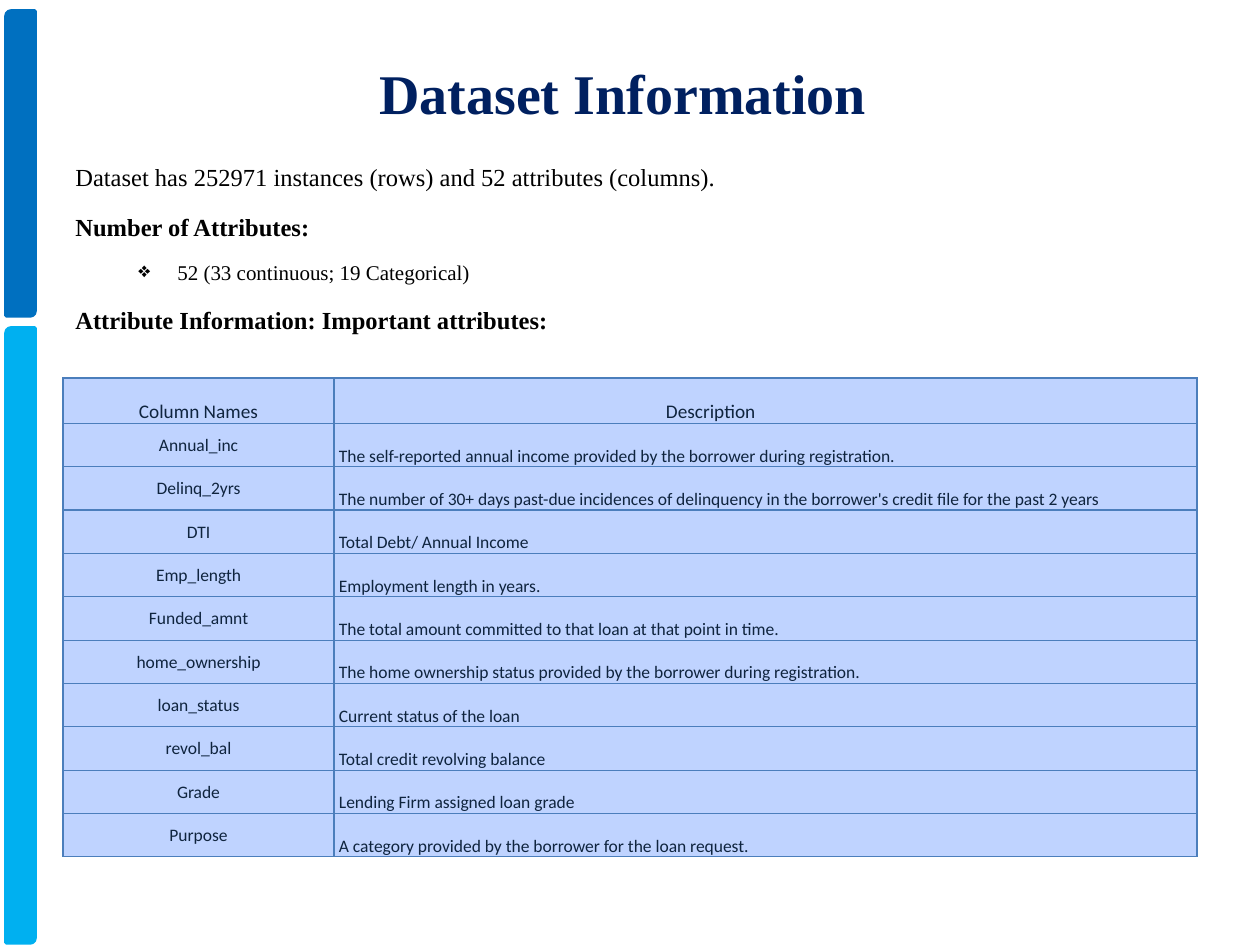
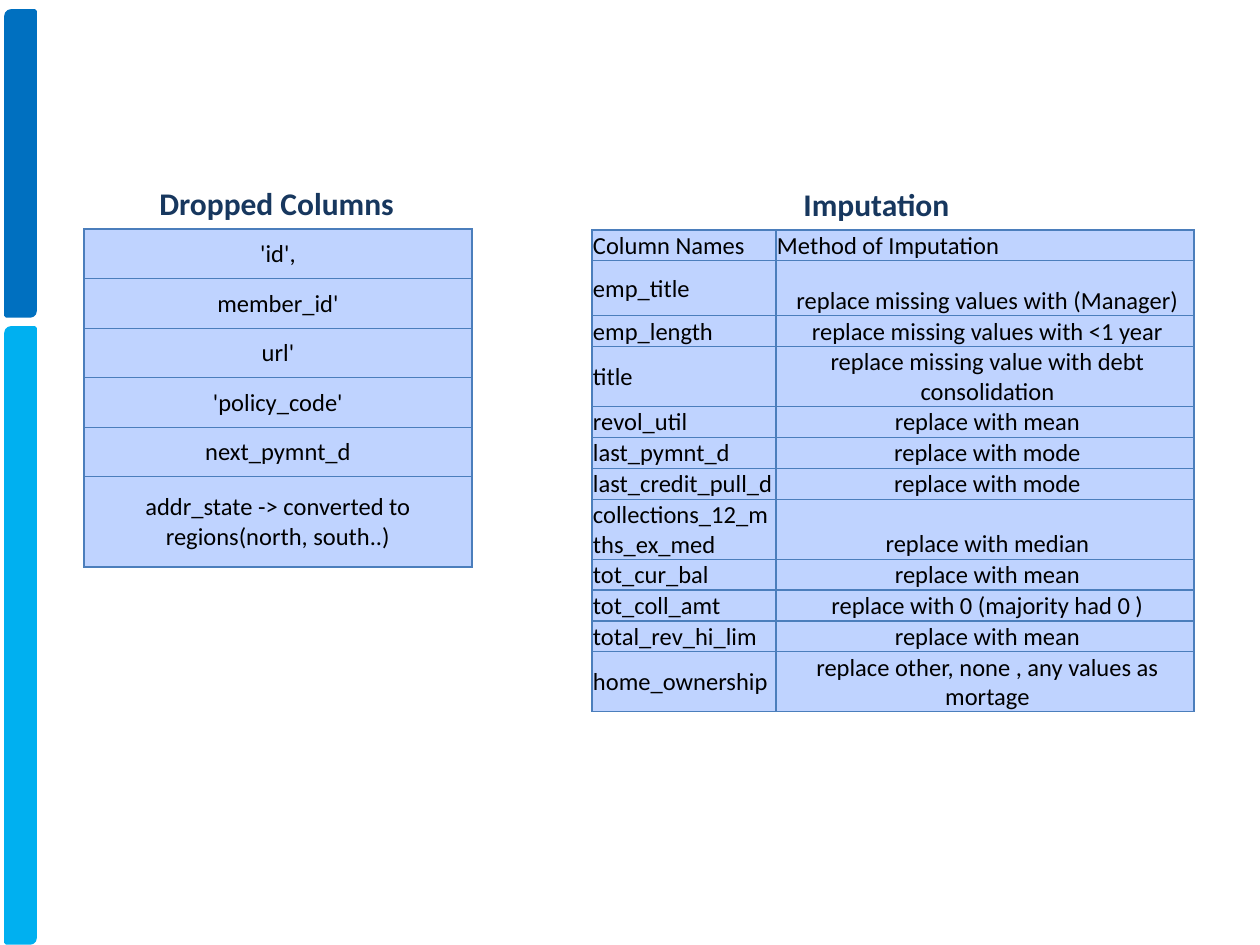
"""Builds two slides on a loan dataset: its attributes and its data cleaning."""
from dataclasses import dataclass
from typing import Any

from lxml import etree
from pptx import Presentation
from pptx.dml.color import RGBColor
from pptx.enum.shapes import MSO_SHAPE
from pptx.enum.text import MSO_ANCHOR, PP_ALIGN
from pptx.oxml.ns import qn
from pptx.slide import Slide
from pptx.util import Emu, Pt

BAR_SHAPE = MSO_SHAPE.ROUND_2_DIAG_RECTANGLE
LEFT, CENTER = PP_ALIGN.LEFT, PP_ALIGN.CENTER
TOP, MIDDLE, BOTTOM = MSO_ANCHOR.TOP, MSO_ANCHOR.MIDDLE, MSO_ANCHOR.BOTTOM

PX_PER_INCH = 126
BLANK_LAYOUT = 6
SERIF, SANS = "Times New Roman", "Calibri"
BLACK, NAVY, INK, HEADING = "000000", "002060", "0F243E", "17375E"
CELL_FILL, CELL_BORDER = "BFD3FF", "4B7EBC"
BORDER_POINTS = 0.75
BORDER_SIDES = ("a:lnL", "a:lnR", "a:lnT", "a:lnB")
BULLET_MARGIN, BULLET_INDENT = 102, -39


@dataclass(frozen=True)
class Box:
    left: int
    top: int
    width: int
    height: int


@dataclass(frozen=True)
class Bar:
    box: Box
    color: str


@dataclass(frozen=True)
class Style:
    font: str
    size: int
    color: str
    bold: bool = False


@dataclass(frozen=True)
class Line:
    text: str
    style: Style
    align: Any = LEFT
    spacing: float = 1.0
    before: float = 0
    bullet: str = ""


@dataclass(frozen=True)
class CellFormat:
    style: Style
    align: Any = LEFT
    anchor: Any = BOTTOM
    inset: int = 1


@dataclass(frozen=True)
class Grid:
    box: Box
    widths: tuple[int, ...]
    heights: tuple[int, ...]
    rows: tuple[tuple[str, ...], ...]
    body: tuple[CellFormat, ...]
    header: tuple[CellFormat, ...] = ()


BARS = (Bar(Box(6, 11, 29, 305), "0070C0"), Bar(Box(6, 328, 29, 615), "00B0F0"))

TITLE = Style(SERIF, 32, NAVY, True)
BODY = Style(SERIF, 14, BLACK)
BODY_BOLD = Style(SERIF, 14, BLACK, True)
BODY_SMALL = Style(SERIF, 12, BLACK)
TABLE_HEAD = Style(SANS, 11, INK)
TABLE_TEXT = Style(SANS, 10, INK)
LARGE_TEXT = Style(SANS, 14, BLACK)
TABLE_LABEL = Style(SANS, 18, HEADING, True)

SUMMARY = (
    Line("Dataset has 252971 instances (rows) and 52 attributes (columns).", BODY, spacing=1.5),
    Line("Number of Attributes:", BODY_BOLD, spacing=1.5, before=3.3),
    Line("52 (33 continuous; 19 Categorical)", BODY_SMALL, spacing=1.5, before=3.3, bullet="❖"),
    Line("Attribute Information: Important attributes:", BODY_BOLD, spacing=1.5, before=3.3),
)

ATTRIBUTES = Grid(
    Box(63, 378, 1134, 479),
    (271, 863),
    (45,) + (43,) * 10,
    (
        ("Column Names", "Description"),
        ("Annual_inc", "The self-reported annual income provided by the borrower during registration."),
        ("Delinq_2yrs", "The number of 30+ days past-due incidences of delinquency "
                        "in the borrower's credit file for the past 2 years"),
        ("DTI", "Total Debt/ Annual Income"),
        ("Emp_length", "Employment length in years."),
        ("Funded_amnt", "The total amount committed to that loan at that point in time."),
        ("home_ownership", "The home ownership status provided by the borrower during registration."),
        ("loan_status", "Current status of the loan"),
        ("revol_bal", "Total credit revolving balance"),
        ("Grade", "Lending Firm assigned loan grade"),
        ("Purpose", "A category provided by the borrower for the loan request."),
    ),
    (CellFormat(TABLE_TEXT, CENTER, MIDDLE), CellFormat(TABLE_TEXT, inset=5)),
    (CellFormat(TABLE_HEAD, CENTER), CellFormat(TABLE_HEAD, inset=332)),
)

DROPPED = Grid(
    Box(84, 229, 388, 338),
    (388,),
    (50,) * 5 + (91,),
    (
        ("'id',",),
        ("member_id'",),
        ("url'",),
        ("'policy_code'",),
        ("next_pymnt_d",),
        ("addr_state -> converted to regions(north, south..)",),
    ),
    (CellFormat(LARGE_TEXT, CENTER, MIDDLE),),
)

IMPUTATION = Grid(
    Box(592, 230, 602, 482),
    (184, 418),
    (31, 55, 31, 60, 31, 31, 31, 60, 31, 31, 31, 60),
    (
        ("Column Names", "Method of Imputation"),
        ("emp_title", "replace missing values with (Manager)"),
        ("emp_length", "replace missing values with <1 year"),
        ("title", "replace missing value with debt consolidation"),
        ("revol_util", "replace with mean"),
        ("last_pymnt_d", "replace with mode"),
        ("last_credit_pull_d", "replace with mode"),
        ("collections_12_mths_ex_med", "replace with median"),
        ("tot_cur_bal", "replace with mean"),
        ("tot_coll_amt", "replace with 0 (majority had 0 )"),
        ("total_rev_hi_lim", "replace with mean"),
        ("home_ownership", "replace other, none , any values as mortage"),
    ),
    (CellFormat(LARGE_TEXT, anchor=MIDDLE), CellFormat(LARGE_TEXT, CENTER, inset=6)),
    (CellFormat(LARGE_TEXT), CellFormat(LARGE_TEXT)),
)


def px(length: float) -> Emu:
    return Emu(round(length * 914400 / PX_PER_INCH))


def rgb(color: str) -> RGBColor:
    return RGBColor.from_string(color)


def place(box: Box) -> tuple[Emu, Emu, Emu, Emu]:
    return px(box.left), px(box.top), px(box.width), px(box.height)


def apply_format(target: Any, values: dict[str, Any]) -> None:
    for name, value in values.items():
        setattr(target, name, value)


def write_line(paragraph: Any, line: Line) -> None:
    if line.bullet:
        properties = paragraph._p.get_or_add_pPr()
        properties.set("marL", str(px(BULLET_MARGIN)))
        properties.set("indent", str(px(BULLET_INDENT)))
        etree.SubElement(properties, qn("a:buChar")).set("char", line.bullet)
    apply_format(paragraph, {
        "alignment": line.align,
        "line_spacing": line.spacing,
        "space_before": Pt(line.before),
    })
    run = paragraph.add_run()
    run.text = line.text
    style = line.style
    apply_format(run.font, {"name": style.font, "size": Pt(style.size), "bold": style.bold})
    run.font.color.rgb = rgb(style.color)


def add_text(slide: Slide, box: Box, lines: tuple[Line, ...], anchor: Any = TOP, wrap: bool = True) -> None:
    frame = slide.shapes.add_textbox(*place(box)).text_frame
    apply_format(frame, {"word_wrap": wrap, "vertical_anchor": anchor})
    for index, line in enumerate(lines):
        write_line(frame.add_paragraph() if index else frame.paragraphs[0], line)


def add_bar(slide: Slide, bar: Bar) -> None:
    shape = slide.shapes.add_shape(BAR_SHAPE, *place(bar.box))
    shape.shadow.inherit = False
    shape.fill.solid()
    shape.fill.fore_color.rgb = rgb(bar.color)
    shape.line.color.rgb = rgb(bar.color)
    shape.line.width = Pt(2)


def add_borders(cell: Any) -> None:
    properties = cell._tc.get_or_add_tcPr()
    for position, side in enumerate(BORDER_SIDES):
        border = etree.Element(qn(side), w=str(Pt(BORDER_POINTS)))
        fill = etree.SubElement(border, qn("a:solidFill"))
        etree.SubElement(fill, qn("a:srgbClr"), val=CELL_BORDER)
        properties.insert(position, border)


def fill_cell(cell: Any, text: str, cell_format: CellFormat) -> None:
    apply_format(cell, {
        "margin_left": px(cell_format.inset),
        "margin_right": px(1),
        "margin_top": px(1),
        "margin_bottom": 0,
        "vertical_anchor": cell_format.anchor,
    })
    cell.fill.solid()
    cell.fill.fore_color.rgb = rgb(CELL_FILL)
    add_borders(cell)
    write_line(cell.text_frame.paragraphs[0], Line(text, cell_format.style, cell_format.align))


def add_grid(slide: Slide, grid: Grid) -> None:
    frame = slide.shapes.add_table(len(grid.rows), len(grid.widths), *place(grid.box))
    table = frame.table
    apply_format(table, {"first_row": bool(grid.header), "horz_banding": False})
    for column, width in zip(table.columns, grid.widths):
        column.width = px(width)
    stretch = grid.box.height / sum(grid.heights)
    for row, height in zip(table.rows, grid.heights):
        row.height = px(height * stretch)
    for row_index, texts in enumerate(grid.rows):
        formats = grid.header if grid.header and row_index == 0 else grid.body
        for column_index, (text, cell_format) in enumerate(zip(texts, formats)):
            fill_cell(table.cell(row_index, column_index), text, cell_format)


def add_slide(presentation: Any) -> Slide:
    slide = presentation.slides.add_slide(presentation.slide_layouts[BLANK_LAYOUT])
    for bar in BARS:
        add_bar(slide, bar)
    return slide


def build_dataset_slide(presentation: Any) -> None:
    slide = add_slide(presentation)
    add_text(slide, Box(56, 37, 1134, 111), (Line("Dataset Information", TITLE, CENTER),), MIDDLE)
    add_text(slide, Box(63, 141, 1134, 225), SUMMARY)
    add_grid(slide, ATTRIBUTES)


def build_cleaning_slide(presentation: Any) -> None:
    slide = add_slide(presentation)
    add_text(slide, Box(147, 178, 262, 50), (Line("Dropped Columns", TABLE_LABEL),), wrap=False)
    add_grid(slide, DROPPED)
    add_grid(slide, IMPUTATION)
    add_text(slide, Box(791, 179, 173, 50), (Line("Imputation", TABLE_LABEL),), wrap=False)


def main() -> None:
    presentation = Presentation()
    apply_format(presentation, {"slide_width": px(1260), "slide_height": px(945)})
    build_dataset_slide(presentation)
    build_cleaning_slide(presentation)
    presentation.save("out.pptx")


if __name__ == "__main__":
    main()
